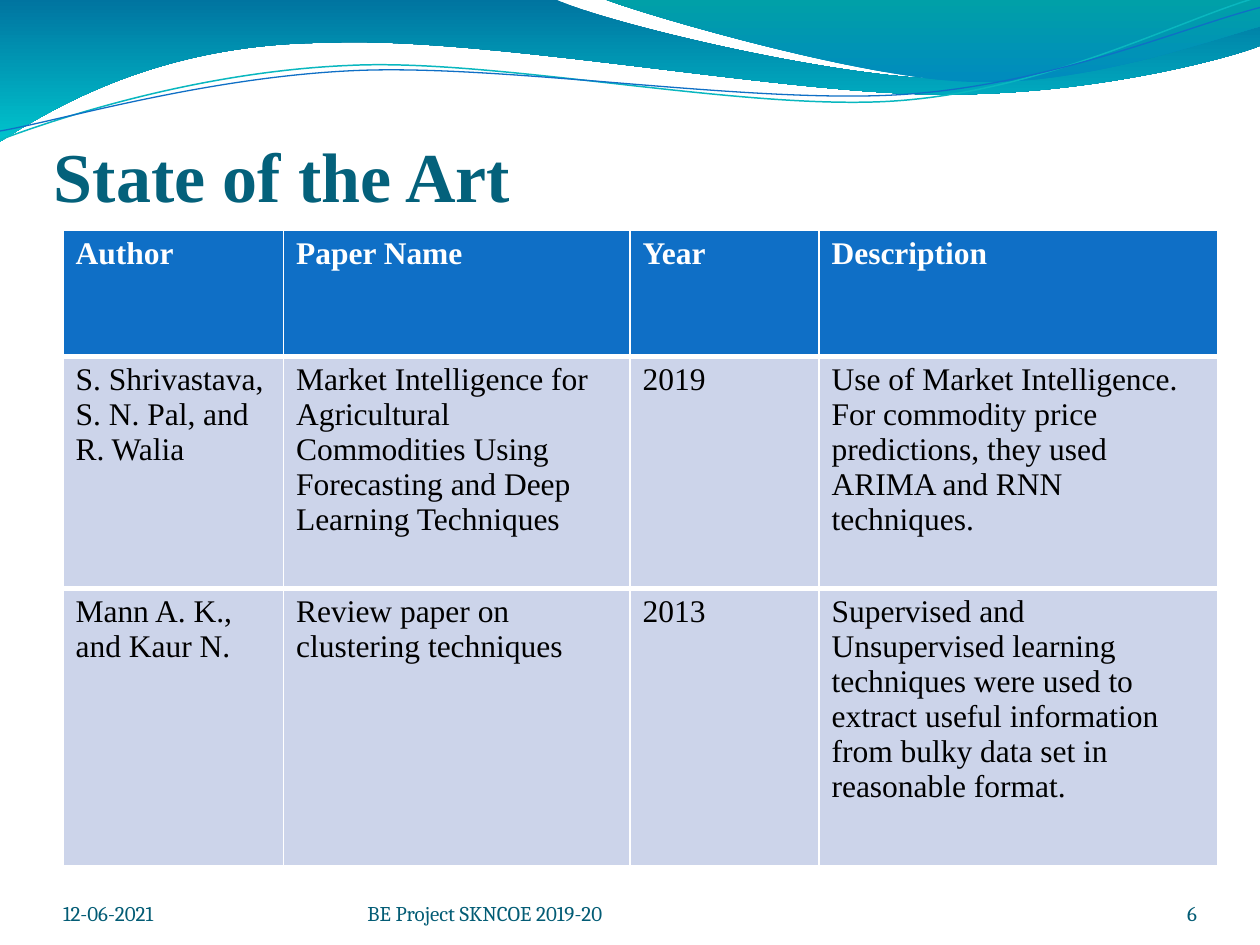
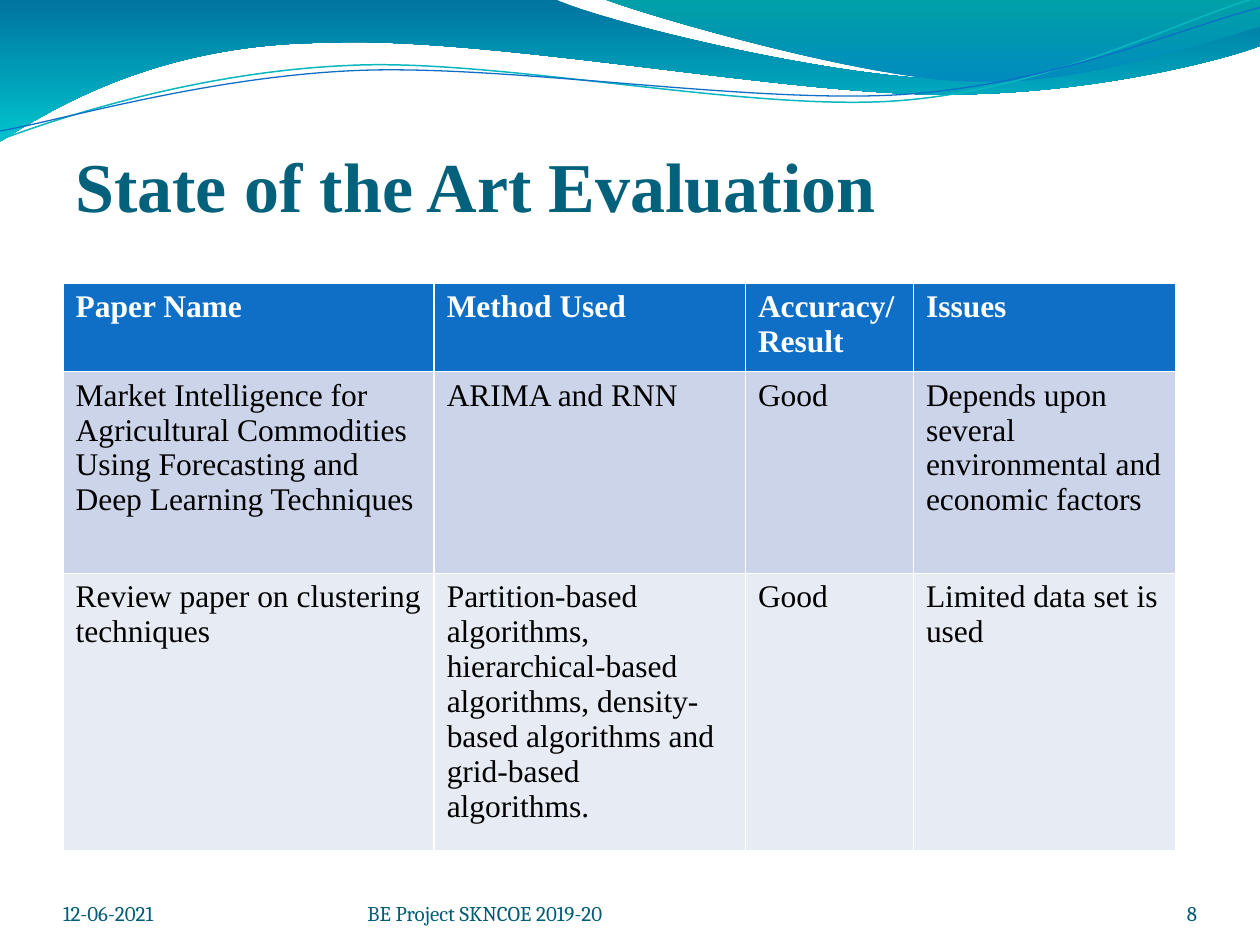
from itertools import chain

from lxml import etree
from pptx import Presentation
from pptx.dml.color import RGBColor
from pptx.enum.text import MSO_ANCHOR, MSO_AUTO_SIZE, PP_ALIGN
from pptx.oxml.ns import qn
from pptx.util import Emu, Inches, Pt

LEFT, RIGHT = PP_ALIGN.LEFT, PP_ALIGN.RIGHT
TOP, BOTTOM = MSO_ANCHOR.TOP, MSO_ANCHOR.BOTTOM
FIT_SHAPE = MSO_AUTO_SIZE.SHAPE_TO_FIT_TEXT

COLUMNS = 120  # square grid cells across the slide width; 90 rows fit the height
WAVE_UNITS = 1000  # drawing units per tenth of the slide width
THIN, THICK = 0.96, 3

COLORS = {
    "title": "04617B",
    "footer": "035C75",
    "header": "0F6FC6",
    "body": "CCD4EA",
    "light body": "E7EBF4",
    "white": "FFFFFF",
    "black": "000000",
    "deep teal": "0074A0",
    "aqua": "00C4CD",
    "blue": "008ABF",
    "green teal": "00A0A8",
    "aqua line": "09B7BF",
}
HEADING_FONT = "Times New Roman"
FOOTER_FONT = "Cambria"

# Wave outlines in tenths of the slide width: a start, then segments.
# One point is a straight line, three points are a Bézier curve.
BAND_OUTLINE = (0, 0), [
    [(4.4, -0.01)],
    [(4.76, 0.17), (6.64, 0.63), (7.58, 0.63)],
    [(8.53, 0.63), (9.58, 0.26), (10, 0.09)],
    [(10.01, 0.36)],
    [(9.83, 0.44), (8.7, 0.76), (7.46, 0.75)],
    [(6.22, 0.75), (3.82, 0.28), (2.57, 0.34)],
    [(1.29, 0.35), (0.46, 0.83), (-0.01, 1.13)],
    [(0, 0)],
]
CREST_OUTLINE = (4.79, -0.01), [
    [(5.09, 0.11), (6.82, 0.62), (7.69, 0.65)],
    [(8.56, 0.69), (9.61, 0.32), (10, 0.21)],
    [(10, 0)],
    [(4.79, -0.01)],
]
UPPER_RIPPLE = (0, 1.11), [
    [(0.48, 0.93), (1.58, 0.57), (2.77, 0.52)],
    [(3.95, 0.46), (5.93, 0.89), (7.13, 0.8)],
    [(8.33, 0.71), (9.38, 0.15), (9.98, -0.02)],
]
LOWER_RIPPLE = (0, 1.04), [
    [(0.47, 0.96), (1.64, 0.61), (2.83, 0.56)],
    [(4.03, 0.51), (5.97, 0.83), (7.17, 0.75)],
    [(8.36, 0.67), (9.41, 0.21), (10, 0.06)],
]

STATE_OF_THE_ART = [
    ["Author", "Paper Name", "Year", "Description"],
    ["S. Shrivastava, S. N. Pal, and R. Walia",
     "Market Intelligence for Agricultural Commodities Using Forecasting "
     "and Deep Learning Techniques",
     "2019",
     "Use of Market Intelligence. For commodity price predictions, "
     "they used ARIMA and RNN techniques."],
    ["Mann A. K., and Kaur N.",
     "Review paper on clustering techniques",
     "2013",
     "Supervised and Unsupervised learning techniques were used to extract "
     "useful information from bulky data set in reasonable format."],
]
EVALUATION = [
    ["Paper Name", "Method Used", "Accuracy/Result", "Issues"],
    ["Market Intelligence for Agricultural Commodities Using Forecasting "
     "and Deep Learning Techniques",
     "ARIMA and RNN",
     "Good",
     "Depends upon\nseveral environmental and economic factors"],
    ["Review paper on clustering techniques",
     "Partition-based algorithms, hierarchical-based\n"
     "algorithms, density-based algorithms and grid-based\n"
     "algorithms.",
     "Good",
     "Limited data set is used"],
]


def color(name):
    return RGBColor.from_string(COLORS[name])


def write_text(text_frame, text, *, size, font, color_name, bold=False, align=LEFT):
    text_frame.text = text
    for paragraph in text_frame.paragraphs:
        paragraph.alignment = align
        for run in paragraph.runs:
            run.font.size = Pt(size)
            run.font.name = font
            run.font.bold = bold
            run.font.color.rgb = color(color_name)


def bend_lines(shape, segments):
    """Merge the three lines of each Bézier segment into one true curve."""
    lines = iter(list(shape._element.iter(qn("a:lnTo"))))
    for segment in segments:
        pieces = [next(lines) for _ in segment]
        if len(pieces) == 3:
            curve = etree.Element(qn("a:cubicBezTo"))
            pieces[0].addprevious(curve)
            for piece in pieces:
                curve.append(piece[0])
                piece.getparent().remove(piece)


def set_cell_borders(cell, **widths):
    """Add white borders; call before the cell is filled, as borders come first."""
    properties = cell._tc.get_or_add_tcPr()
    for side in "LRTB":
        line = etree.SubElement(properties, qn(f"a:ln{side}"), w=str(Pt(widths.get(side, THIN))))
        fill = etree.SubElement(line, qn("a:solidFill"))
        etree.SubElement(fill, qn("a:srgbClr"), val=COLORS["white"])


class Deck:
    def __init__(self):
        self.presentation = Presentation()
        self.presentation.slide_width = Inches(10)
        self.presentation.slide_height = Inches(7.5)
        self.unit = self.presentation.slide_width / COLUMNS
        self.slide = None

    def length(self, cells):
        return Emu(round(cells * self.unit))

    def box(self, *cells):
        return [self.length(value) for value in cells]

    def add_slide(self, number):
        self.slide = self.presentation.slides.add_slide(self.presentation.slide_layouts[6])
        self.gradient_wave(BAND_OUTLINE, "deep teal", "aqua", angle=270)
        self.gradient_wave(CREST_OUTLINE, "blue", "green teal", angle=90)
        self.ripple(UPPER_RIPPLE, "aqua line", 0.85)
        self.ripple(LOWER_RIPPLE, "header", 0.75)
        self.footer("12-06-2021", 6, 28)
        self.footer("BE Project SKNCOE 2019-20", 35, 44)
        self.footer(str(number), 104, 10, align=RIGHT)

    def wave(self, outline, close):
        start, segments = outline
        points = [(x * WAVE_UNITS, y * WAVE_UNITS) for x, y in chain([start], *segments)]
        scale = self.presentation.slide_width / 10 / WAVE_UNITS
        builder = self.slide.shapes.build_freeform(*points[0], scale=scale)
        builder.add_line_segments(points[1:], close=close)
        shape = builder.convert_to_shape()
        shape.shadow.inherit = False
        bend_lines(shape, segments)
        return shape

    def gradient_wave(self, outline, first, last, angle):
        shape = self.wave(outline, close=True)
        shape.line.fill.background()
        shape.fill.gradient()
        shape.fill.gradient_angle = angle
        for stop, name in zip(shape.fill.gradient_stops, (first, last)):
            stop.color.rgb = color(name)

    def ripple(self, outline, color_name, width):
        shape = self.wave(outline, close=False)
        shape.fill.background()
        shape.line.color.rgb = color(color_name)
        shape.line.width = Pt(width)

    def text_box(self, text, box, anchor=TOP, **text_format):
        text_frame = self.slide.shapes.add_textbox(*self.box(*box)).text_frame
        text_frame.word_wrap = True
        text_frame.vertical_anchor = anchor
        write_text(text_frame, text, **text_format)
        return text_frame

    def footer(self, text, left, width, align=LEFT):
        frame = self.text_box(text, (left, 83.4, width, 4.8), anchor=BOTTOM, size=12,
                              font=FOOTER_FONT, color_name="footer", align=align)
        frame.margin_left = frame.margin_right = frame.margin_top = frame.margin_bottom = 0

    def title(self, text, left, top, width):
        frame = self.text_box(text, (left, top, width, 9.25), size=40, font=HEADING_FONT,
                              color_name="title", bold=True)
        frame.auto_size = FIT_SHAPE

    def table(self, rows, top, widths, heights, fills, rule=THIN):
        """Draw a table whose inner horizontal borders are `rule` points wide."""
        frame = self.slide.shapes.add_table(
            len(rows), len(widths), *self.box(6, top, sum(widths), sum(heights)))
        table = frame.table
        table.horz_banding = False
        for column, width in zip(table.columns, widths):
            column.width = self.length(width)
        for row, height in zip(table.rows, heights):
            row.height = self.length(height)
        last = len(rows) - 1
        for row_index, (texts, fill) in enumerate(zip(rows, fills)):
            is_header = row_index == 0
            for column_index, text in enumerate(texts):
                cell = table.cell(row_index, column_index)
                set_cell_borders(cell, T=THIN if is_header else rule,
                                 B=THIN if row_index == last else rule)
                cell.fill.solid()
                cell.fill.fore_color.rgb = color(fill)
                write_text(cell.text_frame, text, size=18, font=HEADING_FONT, bold=is_header,
                           color_name="white" if is_header else "black")


def main():
    deck = Deck()

    deck.add_slide(6)
    deck.title("State of the Art", 3.95, 12, 60.1)
    deck.table(STATE_OF_THE_ART, top=21.93, widths=(21, 33, 18, 38), heights=(12, 22.1, 26.4),
               fills=("header", "body", "body"), rule=THICK)

    deck.add_slide(8)
    deck.title("State of the Art Evaluation", 6, 13, 79)
    deck.table(EVALUATION, top=27, widths=(35.35, 29.65, 16, 25), heights=(8.4, 19.2, 26.4),
               fills=("header", "body", "light body"))

    deck.presentation.save("out.pptx")


if __name__ == "__main__":
    main()
